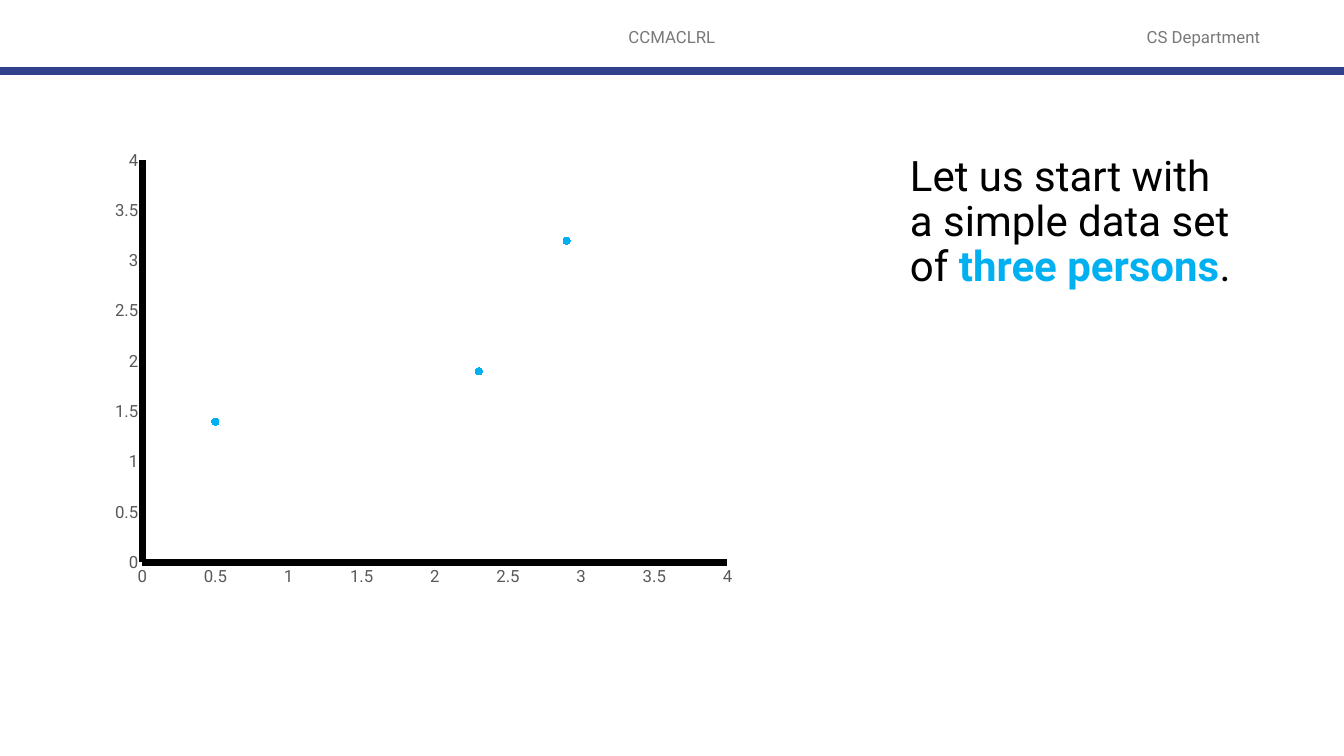
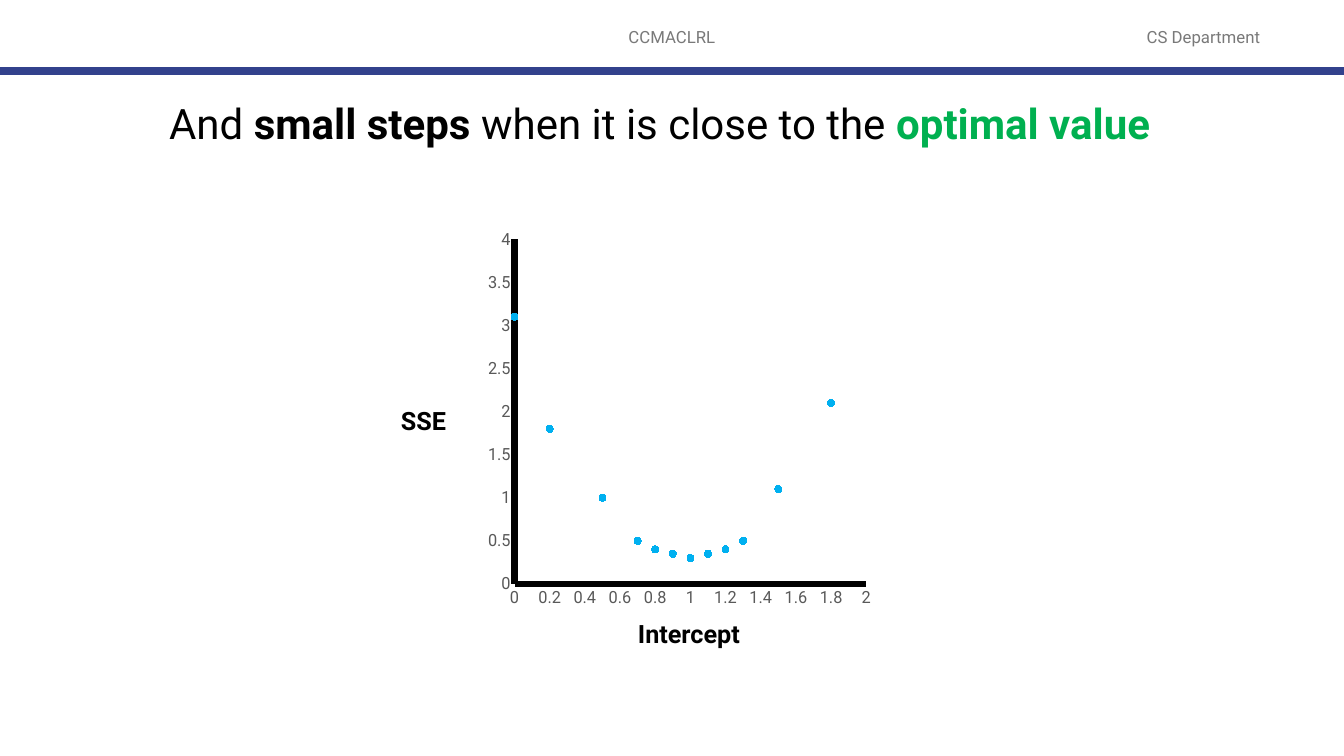
from lxml import etree
from pptx import Presentation
from pptx import util as u
from pptx.chart import data as cd
from pptx.dml.color import RGBColor
from pptx.enum import chart as ch, shapes, text
from pptx.oxml import parse_xml
from pptx.oxml.ns import nsdecls, qn

# Shared look
FONT = "Roboto"
COLORS = {"band": "32418C", "header": "797979", "tick": "595959", "ink": "000000",
          "accent": "00B0F0", "optimum": "00B050"}
W, H = 1344, 756
TITLE_ONLY, BLANK = 5, 6
GAP = (None, None)


def px(n):
    return u.Emu(round(n * 914400 / 100.8))


def rgb(name):
    return RGBColor.from_string(COLORS[name])


def set_font(font, color, **fmt):
    for key, value in {"name": FONT, **fmt}.items():
        setattr(font, key, value)
    font.color.rgb = rgb(color)


def fill_text(sp, runs, size, align=text.PP_ALIGN.LEFT, anchor=text.MSO_ANCHOR.TOP, spacing=None):
    """Write one paragraph; each run is (words, colour, bold)."""
    tf = sp.text_frame
    frame = {"word_wrap": True, "auto_size": text.MSO_AUTO_SIZE.NONE, "vertical_anchor": anchor}
    for key, value in frame.items():
        setattr(tf, key, value)
    p = tf.paragraphs[0]
    p.alignment = align
    p.line_spacing = spacing
    for words, color, bold in runs:
        r = p.add_run()
        r.text = words
        set_font(r.font, color, size=u.Pt(size), bold=bold)


def add_text(s, box, runs, size, **fmt):
    fill_text(s.shapes.add_textbox(*map(px, box)), runs, size, **fmt)


def set_title(s, box, runs):
    sp = s.shapes.title
    for key, value in zip(("left", "top", "width", "height"), box):
        setattr(sp, key, px(value))
    fill_text(sp, runs, 30, spacing=0.9)


def add_header(s):
    for words, x, w in (("CCMACLRL", 445, 454), ("CS Department", 1100, 207)):
        add_text(s, (x, 17, w, 40), [(words, "header", False)], 12,
                 align=text.PP_ALIGN.CENTER, anchor=text.MSO_ANCHOR.MIDDLE)
    band = s.shapes.add_connector(shapes.MSO_CONNECTOR.STRAIGHT, 0, px(71), px(W), px(71))
    band.line.color.rgb = rgb("band")
    band.line.width = u.Pt(6)
    etree.SubElement(band.element.spPr, qn("a:effectLst"))


def new_slide(prs, layout):
    s = prs.slides.add_slide(prs.slide_layouts[layout])
    add_header(s)
    return s


def format_axis(axis, top, step):
    scale = {"minimum_scale": 0, "maximum_scale": top, "major_unit": step,
             "has_major_gridlines": False, "has_title": False,
             "major_tick_mark": ch.XL_TICK_MARK.NONE, "minor_tick_mark": ch.XL_TICK_MARK.NONE}
    for key, value in scale.items():
        setattr(axis, key, value)
    axis.format.line.color.rgb = rgb("ink")
    axis.format.line.width = u.Pt(5)
    set_font(axis.tick_labels.font, "tick", size=u.Pt(12))


def place_plot(chart, **frame):
    """Fix the inner plot area, as fractions of the chart."""
    area = chart.element.find(".//" + qn("c:plotArea"))
    for old in area.findall(qn("c:layout")):
        area.remove(old)
    modes = '<c:layoutTarget val="inner"/><c:xMode val="edge"/><c:yMode val="edge"/>'
    sizes = "".join(f'<c:{key} val="{value}"/>' for key, value in frame.items())
    area.insert(0, parse_xml(f'<c:layout {nsdecls("c")}><c:manualLayout>{modes}{sizes}'
                             "</c:manualLayout></c:layout>"))


def clear_gaps(chart):
    """Leave the points without values empty in the series."""
    for pt in list(chart.element.iter(qn("c:pt"))):
        if pt.findtext(qn("c:v")) == "None":
            pt.getparent().remove(pt)


def add_scatter(s, box, points, x_axis, y_axis, left, top):
    data = cd.XyChartData()
    series = data.add_series("Series 1")
    for x, y in points:
        series.add_data_point(x, y)
    chart = s.shapes.add_chart(ch.XL_CHART_TYPE.XY_SCATTER, *map(px, box), data).chart
    clear_gaps(chart)
    chart.has_legend = chart.has_title = False
    set_font(chart.font, "ink", size=u.Pt(10))
    format_axis(chart.category_axis, *x_axis)
    format_axis(chart.value_axis, *y_axis)
    place_plot(chart, x=left, y=top, w=0.945, h=0.9)
    plot = chart.plots[0]
    plot.vary_by_categories = False
    dots = plot.series[0]
    dots.smooth = False
    dots.format.line.fill.background()
    dots.marker.style = ch.XL_MARKER_STYLE.CIRCLE
    dots.marker.size = 5
    dots.marker.format.fill.solid()
    dots.marker.format.fill.fore_color.rgb = rgb("accent")
    dots.marker.format.line.color.rgb = rgb("accent")


def data_set_slide(prs):
    s = new_slide(prs, BLANK)
    add_text(s, (900, 150, 351, 165),
             [("Let us start with a simple data set of ", "ink", False),
              ("three persons", "accent", True), (".", "ink", False)], 30, spacing=0.9)
    add_scatter(s, (115, 150, 620, 447), [(0.5, 1.4), (2.3, 1.9), (2.9, 3.2)],
                (4, 0.5), (4, 0.5), 0.043, 0.023)


def small_steps_slide(prs):
    s = new_slide(prs, TITLE_ONLY)
    set_title(s, (159, 98, 1026, 92),
              [("And ", "ink", False), ("small steps ", "ink", True),
               ("when it is close to the ", "ink", False), ("optimal value", "optimum", True)])
    errors = [(0, 3.1), (0.2, 1.8), (0.5, 1), (0.7, 0.5), (0.8, 0.4), GAP, (0.9, 0.35), (1, 0.3),
              (1.1, 0.35), GAP, (1.2, 0.4), (1.3, 0.5), (1.5, 1.1), (1.8, 2.1)]
    add_scatter(s, (488, 229, 383, 383), errors, (2, 0.2), (4, 0.5), 0.069, 0.027)
    # Axis names
    for words, box in (("Intercept", (628, 613, 136, 40)), ("SSE", (391, 400, 97, 40))):
        add_text(s, box, [(words, "ink", True)], 18)


def main():
    prs = Presentation()
    prs.slide_width, prs.slide_height = px(W), px(H)
    data_set_slide(prs)
    small_steps_slide(prs)
    prs.save("out.pptx")


if __name__ == "__main__":
    main()
